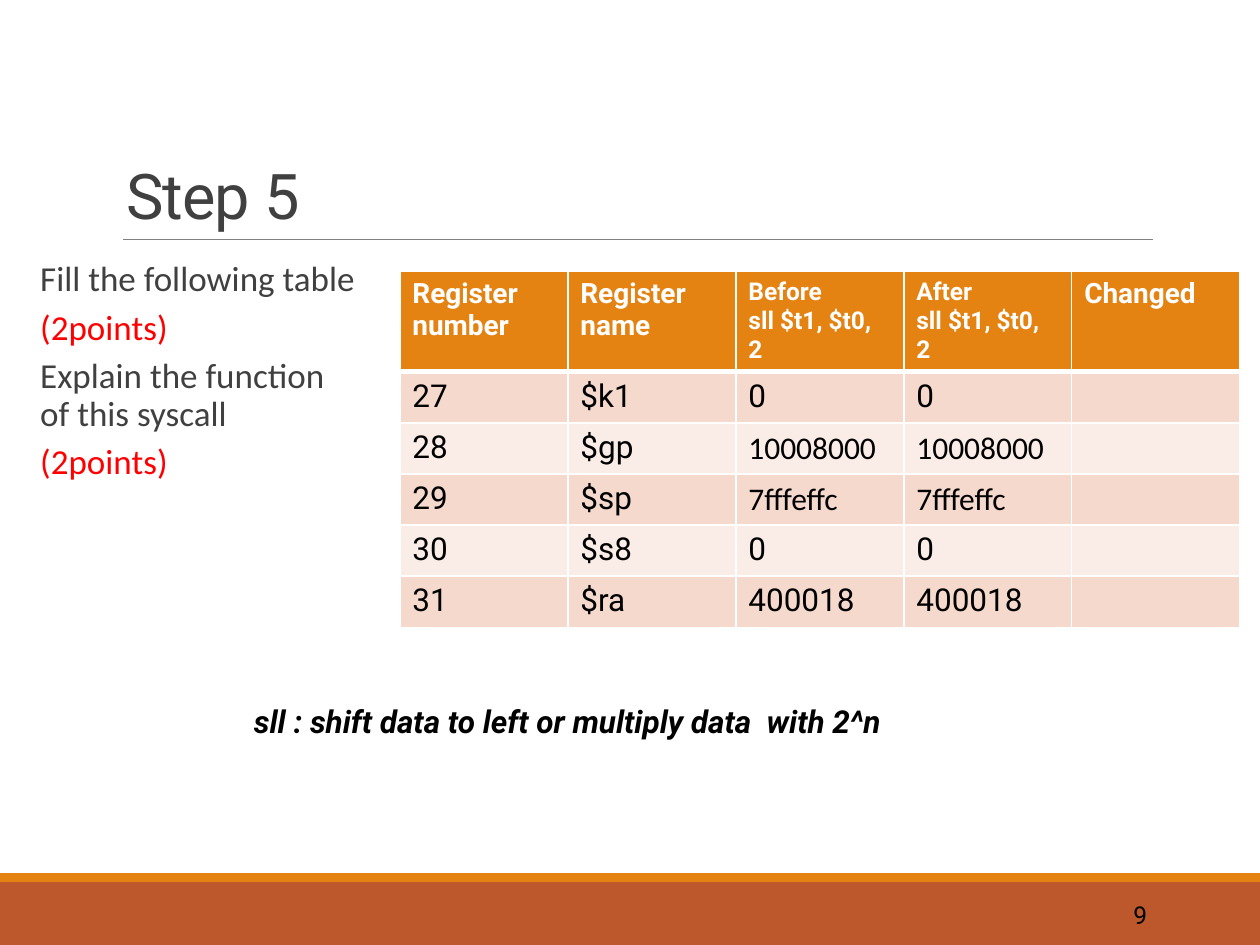
from lxml import etree
from pptx import Presentation
from pptx.dml.color import RGBColor
from pptx.enum.shapes import MSO_CONNECTOR, MSO_SHAPE
from pptx.enum.text import MSO_ANCHOR, PP_ALIGN
from pptx.oxml.ns import qn
from pptx.util import Pt

RECT = MSO_SHAPE.RECTANGLE
LINE = MSO_CONNECTOR.STRAIGHT
TOP, MID, BASE = MSO_ANCHOR.TOP, MSO_ANCHOR.MIDDLE, MSO_ANCHOR.BOTTOM
LEFT, RIGHT = PP_ALIGN.LEFT, PP_ALIGN.RIGHT

WHITE = RGBColor(0xFF, 0xFF, 0xFF)
BLACK = RGBColor(0, 0, 0)
DARK = RGBColor(0x40, 0x40, 0x40)
GRAY = RGBColor(0x80, 0x80, 0x80)
RED = RGBColor(0xFF, 0, 0)
ORANGE = RGBColor(0xE4, 0x83, 0x12)
RUST = RGBColor(0xBD, 0x58, 0x2C)
BANDS = RGBColor(0xF5, 0xD9, 0xCC), RGBColor(0xFA, 0xED, 0xE7)
MAIN, ALT = "Roboto", "Calibri"

# Content
TITLE = "Step 5"
TASKS = [
    ("Fill the following table", DARK),
    ("(2points)", RED),
    ("Explain the function of this syscall", DARK),
    ("(2points)", RED),
]
HEADS = ["Register number", "Register name", "Before\nsll $t1, $t0, 2",
         "After\nsll $t1, $t0, 2", "Changed"]
# number, name, value (the same before and after), font of the value
REGS = [
    ("27", "$k1", "0", MAIN),
    ("28", "$gp", "10008000", ALT),
    ("29", "$sp", "7fffeffc", ALT),
    ("30", "$s8", "0", MAIN),
    ("31", "$ra", "400018", MAIN),
]
NOTE = "sll : shift data to left or multiply data  with 2^n"
PAGE = "9"

# Layout in points
WIDE, HIGH = 720, 540
BARS = [(504, 36, RUST), (499, 5, ORANGE)]
COL, HEAD, ROW = 96, 57, 29.2


def style(para, size, color, face=MAIN, bold=False, italic=False):
    for run in para.runs:
        font = run.font
        font.size, font.name = Pt(size), face
        font.bold, font.italic = bold, italic
        font.color.rgb = color


def add_text(slide, box, text, anchor=TOP, align=LEFT):
    frame = slide.shapes.add_textbox(*map(Pt, box)).text_frame
    frame.word_wrap = True
    frame.vertical_anchor = anchor
    frame.text = text
    for para in frame.paragraphs:
        para.alignment = align
    return frame


def add_edges(cell, top, base):
    props = cell._tc.get_or_add_tcPr()
    for side, width in (("L", 1), ("R", 1), ("T", top), ("B", base)):
        edge = etree.SubElement(props, qn(f"a:ln{side}"), w=str(Pt(width)))
        fill = etree.SubElement(edge, qn("a:solidFill"))
        etree.SubElement(fill, qn("a:srgbClr"), val=str(WHITE))


def add_grid(slide):
    rows = [HEADS] + [[num, name, val, val, ""] for num, name, val, _ in REGS]
    grid = slide.shapes.add_table(
        len(rows), len(HEADS), Pt(228.5), Pt(154.8),
        Pt(COL * len(HEADS)), Pt(HEAD + ROW * len(REGS))).table
    for col in grid.columns:
        col.width = Pt(COL)
    for r, row in enumerate(rows):
        grid.rows[r].height = Pt(ROW if r else HEAD)
        for c, text in enumerate(row):
            cell = grid.cell(r, c)
            add_edges(cell, 3 if r == 1 else 1, 1 if r else 3)
            cell.fill.solid()
            cell.fill.fore_color.rgb = BANDS[(r - 1) % 2] if r else ORANGE
            cell.text = text
            for para in cell.text_frame.paragraphs:
                if r:
                    face = REGS[r - 1][3] if c > 1 else MAIN
                    style(para, 18, BLACK, face)
                else:
                    style(para, 14 if "\n" in text else 16, WHITE, bold=True)


def main():
    deck = Presentation()
    deck.slide_width, deck.slide_height = Pt(WIDE), Pt(HIGH)
    slide = deck.slides.add_slide(deck.slide_layouts[6])

    # Footer bars
    for top, height, color in BARS:
        bar = slide.shapes.add_shape(RECT, 0, Pt(top), Pt(WIDE), Pt(height))
        bar.shadow.inherit = False
        bar.fill.solid()
        bar.fill.fore_color.rgb = color
        bar.line.fill.background()

    # Rule under the title
    rule = slide.shapes.add_connector(
        LINE, Pt(70.5), Pt(136.8), Pt(658.8), Pt(136.8))
    rule.line.color.rgb = GRAY
    rule.line.width = Pt(0.5)
    etree.SubElement(rule._element.spPr, qn("a:effectLst"))

    # Title
    para = add_text(slide, (65, 22.5, 594, 114), TITLE, BASE).paragraphs[0]
    para.line_spacing = 0.85
    style(para, 36, DARK)
    para.runs[0].font._element.set("spc", "-50")

    # Tasks
    frame = add_text(slide, (0, 146, 204, 348),
                     "\n".join(text for text, _ in TASKS))
    frame.margin_left, frame.margin_right = Pt(23), 0
    for para, (_, color) in zip(frame.paragraphs, TASKS):
        para.line_spacing = 0.9
        para.space_before, para.space_after = Pt(2), Pt(4)
        style(para, 20, color, ALT)

    # Page number, table and note
    frame = add_text(slide, (584.6, 508.5, 78, 28.8), PAGE, MID, RIGHT)
    style(frame.paragraphs[0], 14, BLACK)
    add_grid(slide)
    frame = add_text(slide, (138, 397.5, 444, 29), NOTE)
    style(frame.paragraphs[0], 18, BLACK, bold=True, italic=True)

    deck.save("out.pptx")


if __name__ == "__main__":
    main()
